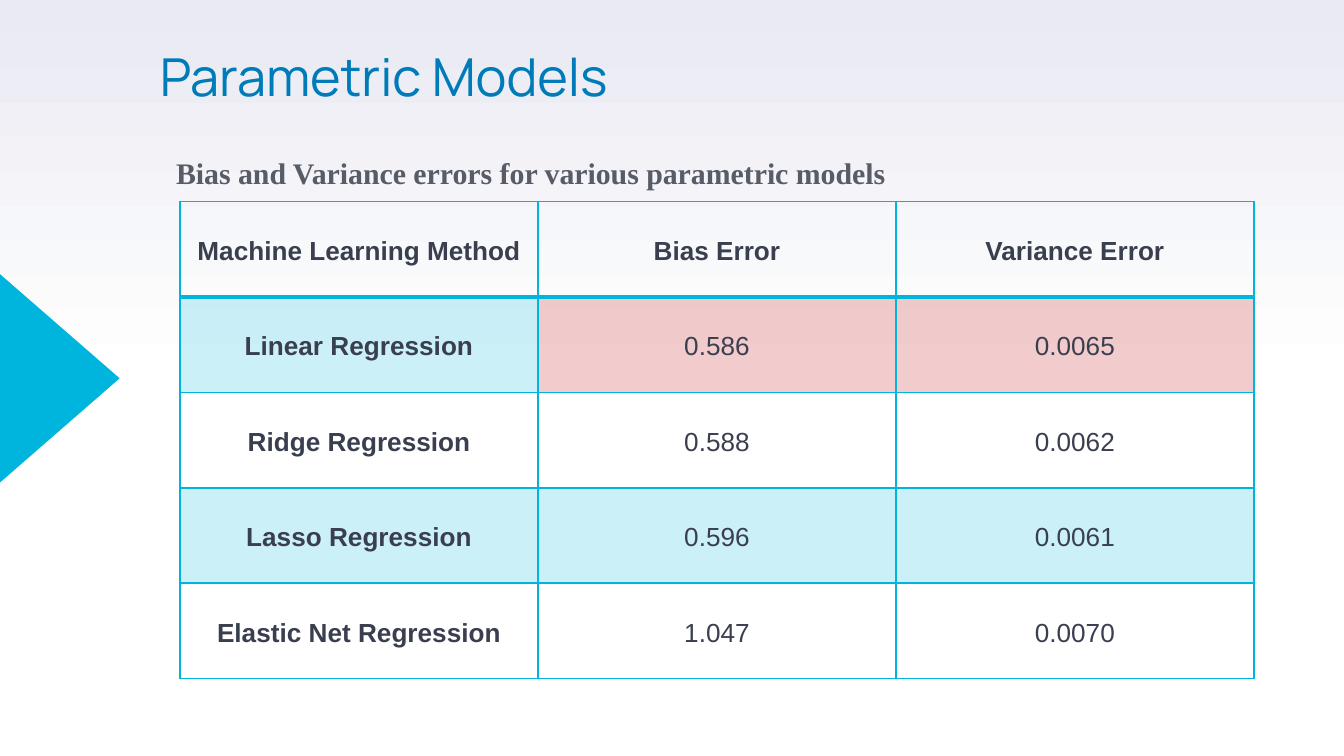
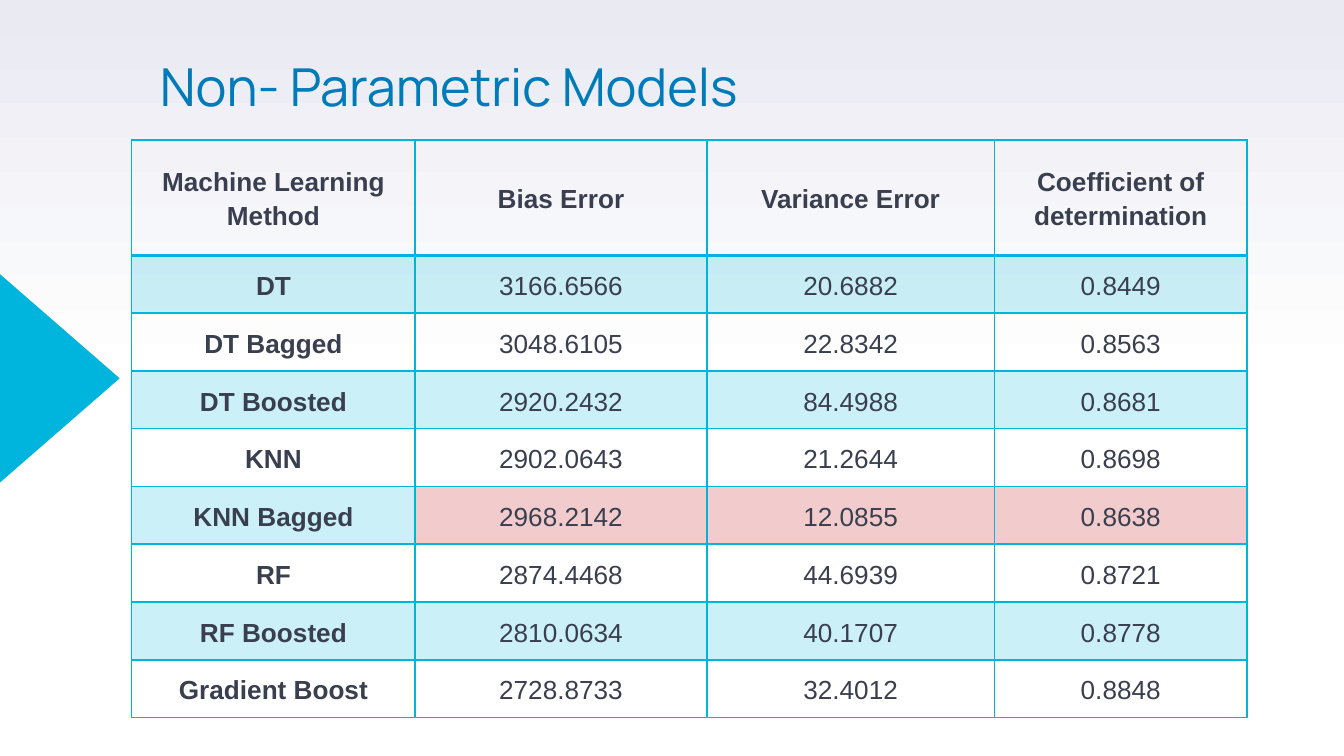
from copy import deepcopy

from lxml import etree
from pptx import Presentation
from pptx import util as u
from pptx.dml.color import RGBColor
from pptx.enum import shapes, text
from pptx.oxml.ns import qn

CYAN = RGBColor(0x00, 0xB5, 0xDD)
TITLE_BLUE = RGBColor(0x00, 0x7B, 0xB9)
HIGHLIGHT_RED = RGBColor(0xC0, 0x00, 0x00)
CELL_INK = RGBColor(0x3A, 0x3F, 0x50)
CAPTION_GREY = RGBColor(0x58, 0x5C, 0x67)
PALE_LAVENDER = RGBColor(0xE9, 0xEA, 0xF2)
WHITE = RGBColor(0xFF, 0xFF, 0xFF)

TINT_PERCENT = 20
HEADER = ["Machine Learning Method", "Bias Error", "Variance Error"]

PARAMETRIC_ROWS = [
    HEADER,
    ["Linear Regression", "0.586", "0.0065"],
    ["Ridge Regression", "0.588", "0.0062"],
    ["Lasso Regression", "0.596", "0.0061"],
    ["Elastic Net Regression", "1.047", "0.0070"],
]
NON_PARAMETRIC_ROWS = [
    HEADER + ["Coefficient of determination"],
    ["DT", "3166.6566", "20.6882", "0.8449"],
    ["DT Bagged", "3048.6105", "22.8342", "0.8563"],
    ["DT Boosted", "2920.2432", "84.4988", "0.8681"],
    ["KNN", "2902.0643", "21.2644", "0.8698"],
    ["KNN Bagged", "2968.2142", "12.0855", "0.8638"],
    ["RF", "2874.4468", "44.6939", "0.8721"],
    ["RF Boosted", "2810.0634", "40.1707", "0.8778"],
    ["Gradient Boost", "2728.8733", "32.4012", "0.8848"],
]


def style_paragraph(paragraph, font_name, size, color, bold=False, spacing=1.0):
    paragraph.line_spacing = spacing
    for run in paragraph.runs:
        run.font.name = font_name
        run.font.size = u.Pt(size)
        run.font.color.rgb = color
        run.font.bold = bold


def paint_background(slide):
    """White lower half, fading to lavender at the top edge."""
    fill = slide.background.fill
    fill.gradient()
    fill.gradient_angle = 90
    start, end = fill.gradient_stops
    start.color.rgb, start.position = WHITE, 0
    end.color.rgb, end.position = PALE_LAVENDER, 1
    stops = slide.element.find(".//" + qn("a:gsLst"))
    middle = deepcopy(stops[0])
    middle.set("pos", "50000")
    stops.insert(1, middle)


def add_side_arrow(slide):
    arrow = slide.shapes.add_shape(
        shapes.MSO_SHAPE.ISOSCELES_TRIANGLE,
        u.Inches(-0.33), u.Inches(2.37), u.Inches(1.55), u.Inches(0.89))
    arrow.rotation = 90
    arrow.shadow.inherit = False
    arrow.fill.solid()
    arrow.fill.fore_color.rgb = CYAN
    arrow.line.fill.background()


def add_text(slide, box, wording, anchor):
    """Place a text box without insets and return its only paragraph."""
    frame = slide.shapes.add_textbox(*map(u.Inches, box)).text_frame
    frame.word_wrap = True
    frame.vertical_anchor = anchor
    frame.margin_left = frame.margin_right = 0
    frame.margin_top = frame.margin_bottom = 0
    frame.text = wording
    return frame.paragraphs[0]


def add_title(slide, top, wording):
    paragraph = add_text(slide, (1.19, top, 5.11, 0.55), wording,
                         text.MSO_ANCHOR.BOTTOM)
    style_paragraph(paragraph, "Manrope", 28, TITLE_BLUE, spacing=0.8)


def add_caption(slide, box, wording):
    paragraph = add_text(slide, box, wording, text.MSO_ANCHOR.TOP)
    style_paragraph(paragraph, "Times New Roman", 16, CAPTION_GREY,
                    bold=True, spacing=1.5)
    properties = paragraph._p.get_or_add_pPr()
    properties.set("marL", str(u.Inches(0.12)))
    properties.set("indent", "0")


def tint_cell(cell, color):
    cell.fill.solid()
    cell.fill.fore_color.rgb = color
    color_element = cell._tc.tcPr.find(".//" + qn("a:srgbClr"))
    etree.SubElement(color_element, qn("a:alpha"), val=str(TINT_PERCENT * 1000))


def add_cell_borders(cell, top_width, bottom_width):
    widths = {"a:lnL": 1, "a:lnR": 1, "a:lnT": top_width, "a:lnB": bottom_width}
    for position, (tag, width) in enumerate(widths.items()):
        line = etree.Element(qn(tag), w=str(u.Pt(width)))
        fill = etree.SubElement(line, qn("a:solidFill"))
        etree.SubElement(fill, qn("a:srgbClr"), val=str(CYAN))
        cell._tc.get_or_add_tcPr().insert(position, line)


def format_cell(cell, wording, row, column, highlighted):
    cell.text_frame.text = wording
    cell.vertical_anchor = text.MSO_ANCHOR.MIDDLE
    cell.margin_left = cell.margin_right = u.Inches(0.07)
    cell.margin_top = cell.margin_bottom = 0
    paragraph = cell.text_frame.paragraphs[0]
    paragraph.alignment = text.PP_ALIGN.CENTER
    paragraph.space_after = u.Pt(10)
    style_paragraph(paragraph, "Arial", 14, CELL_INK,
                    bold=row == 0 or column == 0, spacing=1.15)
    if highlighted and column > 0:
        tint_cell(cell, HIGHLIGHT_RED)
    elif row % 2:
        tint_cell(cell, CYAN)
    else:
        cell.fill.background()
    add_cell_borders(cell, 2 if row == 1 else 1, 2 if row == 0 else 1)


def add_error_table(slide, left, top, widths, heights, rows, best_method):
    """Banded table whose best method has its figures tinted red."""
    table = slide.shapes.add_table(
        len(rows), len(widths), u.Inches(left), u.Inches(top),
        u.Inches(sum(widths)), u.Inches(sum(heights))).table
    table.first_row = table.horz_banding = False
    for column, width in zip(table.columns, widths):
        column.width = u.Inches(width)
    for row, height in zip(table.rows, heights):
        row.height = u.Inches(height)
    for r, values in enumerate(rows):
        for c, wording in enumerate(values):
            format_cell(table.cell(r, c), wording, r, c, values[0] == best_method)


def add_base_slide(presentation, title, title_top):
    slide = presentation.slides.add_slide(presentation.slide_layouts[6])
    paint_background(slide)
    add_side_arrow(slide)
    add_title(slide, title_top, title)
    return slide


def add_parametric_slide(presentation):
    slide = add_base_slide(presentation, "Parametric Models", 0.24)
    add_caption(slide, (1.19, 1.02, 8.55, 0.49),
                "Bias and Variance errors for various parametric models")
    add_error_table(slide, 1.34, 1.5, [7.99 / 3] * 3, [0.71] * 5,
                    PARAMETRIC_ROWS, "Linear Regression")


def add_non_parametric_slide(presentation):
    slide = add_base_slide(presentation, "Non- Parametric Models", 0.32)
    add_error_table(slide, 0.98, 1.04, [2.11, 2.17, 2.14, 1.88],
                    [0.86] + [0.43] * 8, NON_PARAMETRIC_ROWS, "KNN Bagged")


def main():
    presentation = Presentation()
    presentation.slide_width = u.Inches(10)
    presentation.slide_height = u.Inches(10 * 9 / 16)
    add_parametric_slide(presentation)
    add_non_parametric_slide(presentation)
    presentation.save("out.pptx")


if __name__ == "__main__":
    main()
